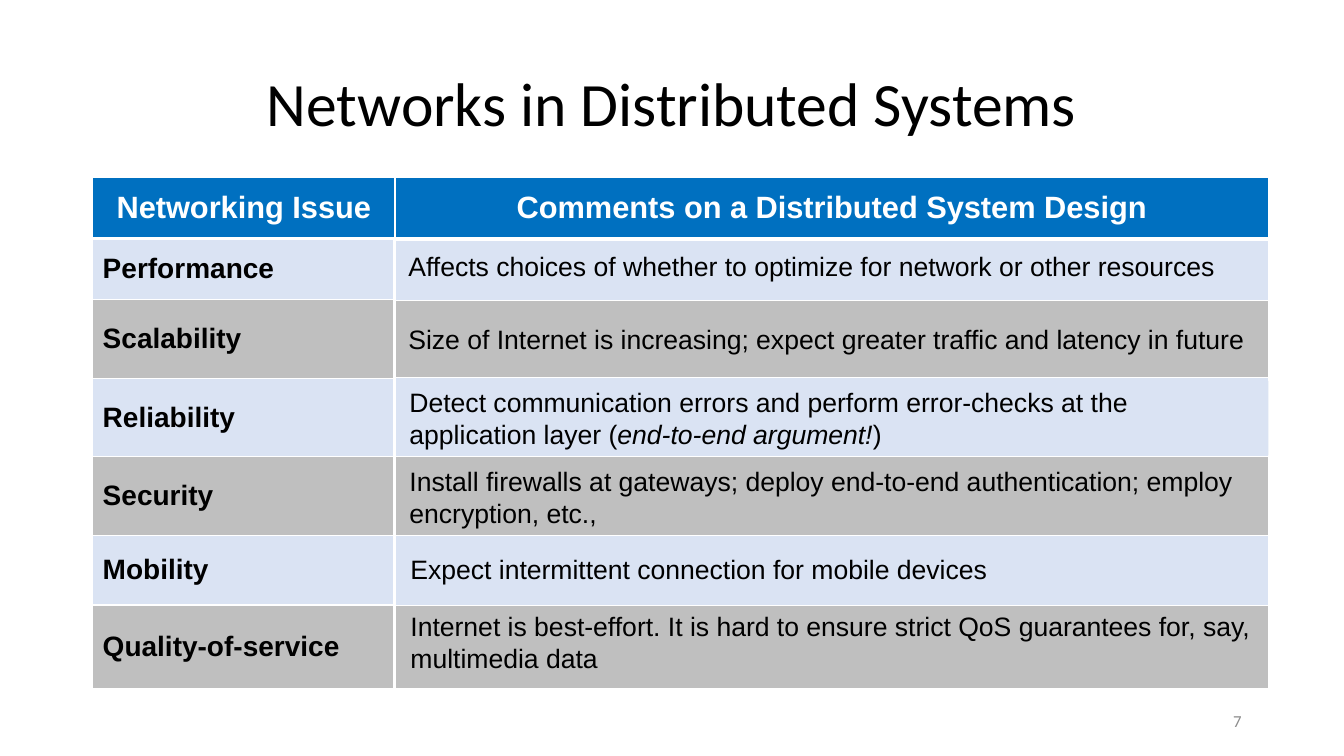
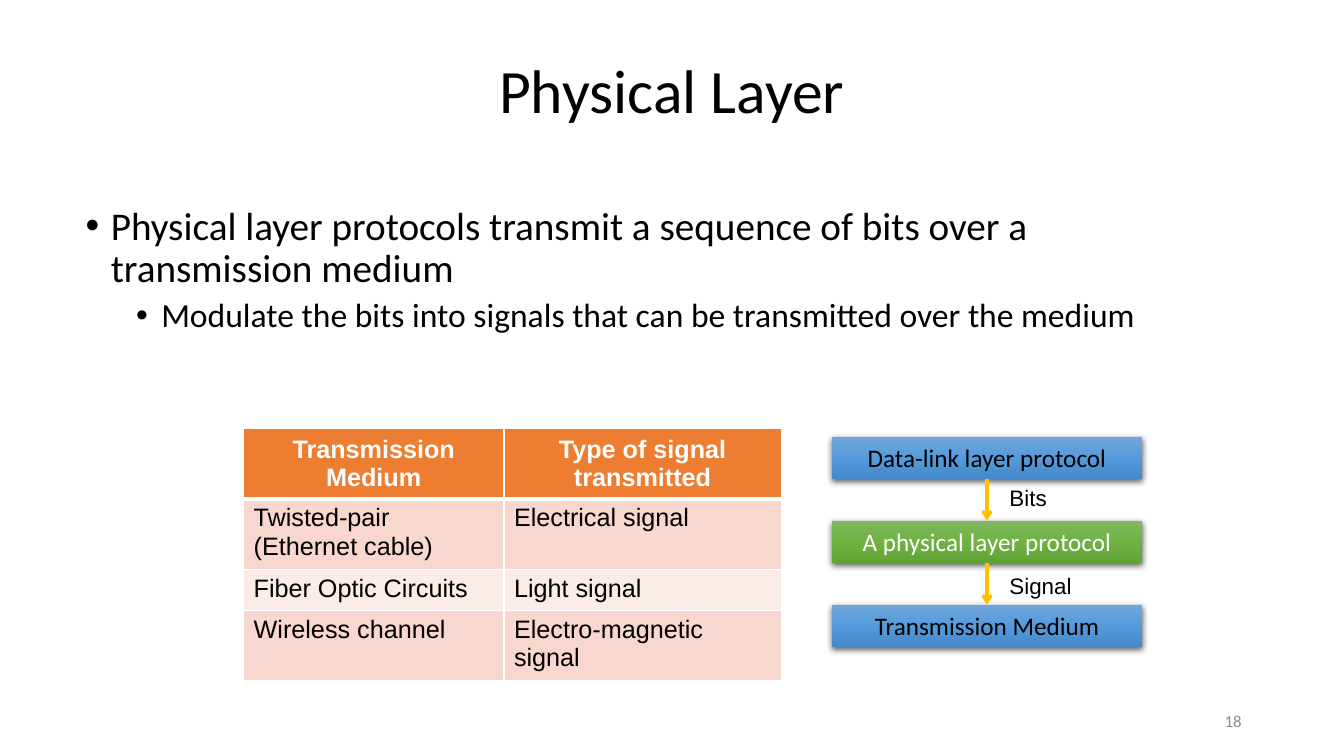
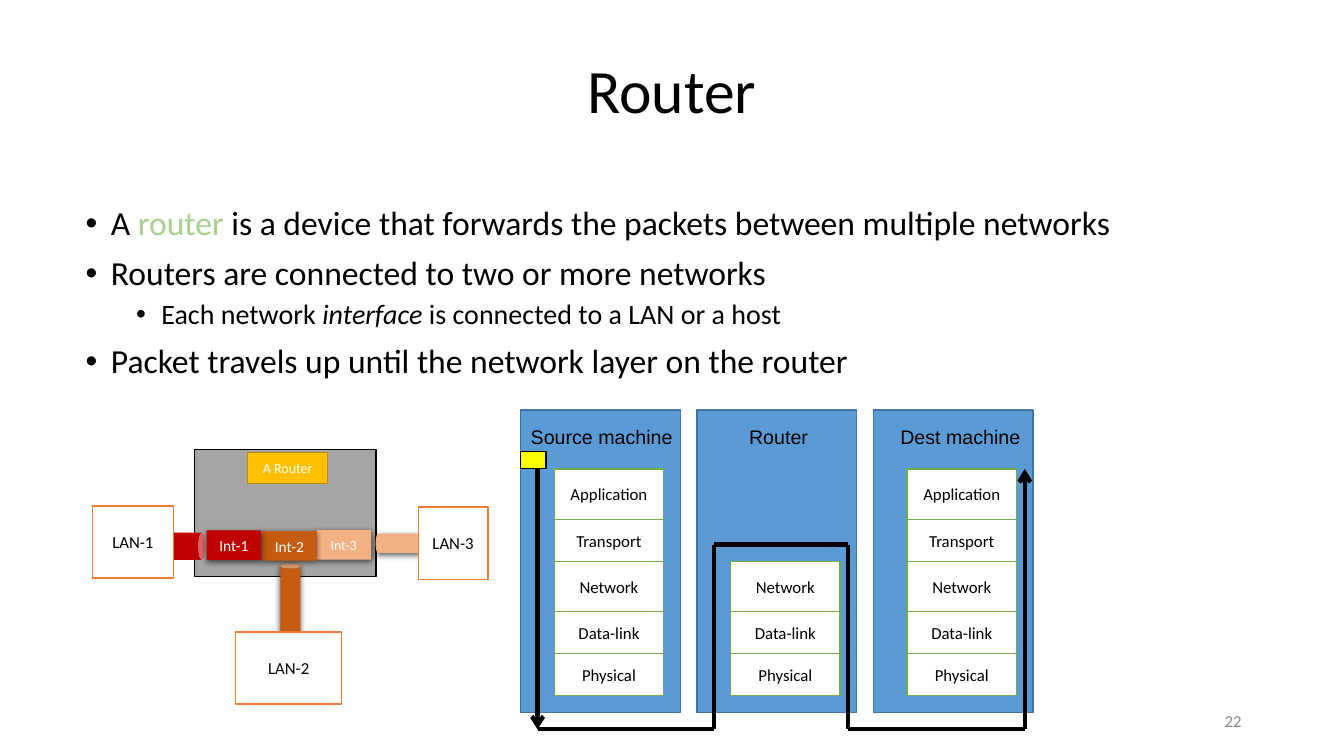
from copy import deepcopy

from pptx import Presentation
from pptx import util as u
from pptx.dml import color
from pptx.enum import shapes, text
from pptx.oxml import ns
from lxml import etree

BLACK, WHITE, GREY = "000000", "FFFFFF", "8C8C8C"
ORANGE, AMBER, RED, RUST, PEACH = "ED7D31", "FFC000", "C00000", "C55A11", "F4B183"
PALE, SILVER = "DAE3F3", "BFBFBF"
BLUE_FADE = ("71A6DB", "559BDB", "448ACA")
GREEN_FADE = ("81B861", "6FB242", "62A336")
TITLE_BOX = (156, 25, 648, 83)
BODY_BOX = (54, 144, 828, 343)
NUMBER_BOX = (678, 500, 216, 29)
LEFT, CENTER, RIGHT = text.PP_ALIGN.LEFT, text.PP_ALIGN.CENTER, text.PP_ALIGN.RIGHT
TOP, MIDDLE = text.MSO_ANCHOR.TOP, text.MSO_ANCHOR.MIDDLE
FIXED, GROW = text.MSO_AUTO_SIZE.NONE, text.MSO_AUTO_SIZE.SHAPE_TO_FIT_TEXT
RECT, CAN = shapes.MSO_SHAPE.RECTANGLE, shapes.MSO_SHAPE.CAN


def points(values):
    """Turn numbers into lengths in points."""
    return [u.Pt(value) for value in values]


def assign(target, values):
    """Set each named attribute on the target."""
    for name, value in values.items():
        setattr(target, name, value)


def paint(fill, hex_colour):
    """Fill with a hex colour, or clear the fill when there is none."""
    if hex_colour is None:
        fill.background()
    else:
        fill.solid()
        fill.fore_color.rgb = color.RGBColor.from_string(hex_colour)


def child(parent, tag, **attributes):
    """Append a drawing element to its parent."""
    return etree.SubElement(parent, ns.qn(tag), attributes)


def write(para, spans, size, font="Calibri", colour=BLACK, align=LEFT, bold=False):
    """Write a string, or a list of strings and (string, format) pairs."""
    para.alignment = align
    for part in [spans] if isinstance(spans, str) else spans:
        words, changes = (part, {}) if isinstance(part, str) else part
        span = para.add_run()
        span.text = words
        look = {"name": font, "size": u.Pt(size), "bold": bold,
                "italic": changes.get("italic", False)}
        assign(span.font, look)
        paint(span.font.fill, changes.get("colour", colour))


def place(shape, box):
    """Move a shape to its box."""
    assign(shape, dict(zip(("left", "top", "width", "height"), points(box))))


def add_label(page, box, words, size, anchor=TOP, fit=GROW, fill=None, **look):
    """Add a wrapped text box."""
    label = page.shapes.add_textbox(*points(box))
    paint(label.fill, fill)
    frame = label.text_frame
    assign(frame, {"word_wrap": True, "vertical_anchor": anchor, "auto_size": fit})
    write(frame.paragraphs[0], words, size, **look)


def add_block(page, box, fill, words="", size=12, ink=BLACK, line=None,
              shadow=False, kind=RECT, turn=0):
    """Add a preset shape with a plain or graded fill and a centred label."""
    block = page.shapes.add_shape(kind, *points(box))
    assign(block, {"rotation": turn})
    if isinstance(fill, tuple):
        block.fill.gradient()
        block.fill.gradient_angle = 270
        stops = block._element.spPr.find(ns.qn("a:gradFill")).find(ns.qn("a:gsLst"))
        stops.insert(1, deepcopy(stops[0]))
        for index, stop in enumerate(block.fill.gradient_stops):
            stop.position = index / 2
            stop.color.rgb = color.RGBColor.from_string(fill[index])
    else:
        paint(block.fill, fill)
    paint(block.line.fill, line)
    if line:
        block.line.width = u.Pt(1)
    block.shadow.inherit = False
    if shadow:
        effects = block._element.spPr.find(ns.qn("a:effectLst"))
        outer = child(effects, "a:outerShdw", blurRad="57150", dist="19050",
                      dir="5400000", algn="ctr", rotWithShape="0")
        child(child(outer, "a:srgbClr", val=BLACK), "a:alpha", val="63000")
    if words:
        frame = block.text_frame
        assign(frame, {"margin_left": 0, "margin_right": 0, "vertical_anchor": MIDDLE})
        write(frame.paragraphs[0], words, size, colour=ink, align=CENTER)


def add_line(page, start, end, colour, width, arrow=False):
    """Add a straight line, with an arrowhead at its end on request."""
    line = page.shapes.add_connector(shapes.MSO_CONNECTOR.STRAIGHT, *points(start + end))
    paint(line.line.fill, colour)
    line.line.width = u.Pt(width)
    if arrow:
        child(line.line._get_or_add_ln(), "a:tailEnd", type="arrow")
    child(line._element.spPr, "a:effectLst")


def add_grid(page, origin, widths, heights, rows, cell_style, header=True):
    """Add a white-ruled table; cell_style gives each cell's look by row and column."""
    box = (*origin, sum(widths), sum(heights))
    table = page.shapes.add_table(len(rows), len(widths), *points(box)).table
    table.first_row = header
    for column, width in zip(table.columns, widths):
        column.width = u.Pt(width)
    for r, (row, height) in enumerate(zip(rows, heights)):
        table.rows[r].height = u.Pt(height)
        for c, words in enumerate(row):
            cell = table.cell(r, c)
            fill, anchor, look = cell_style(r, c)
            cell.vertical_anchor = anchor
            paint(cell.fill, fill)
            if words:
                write(cell.text_frame.paragraphs[0], words, font="Arial", **look)
            rule_cell(cell, 3 if header and r == 1 else 1, 3 if header and r == 0 else 1)


def rule_cell(cell, top, bottom):
    """Draw white borders round a cell."""
    properties = cell._tc.get_or_add_tcPr()
    sides = (("a:lnL", 1), ("a:lnR", 1), ("a:lnT", top), ("a:lnB", bottom))
    for index, (tag, width) in enumerate(sides):
        border = child(properties, tag, w=str(u.Pt(width)))
        child(child(border, "a:solidFill"), "a:srgbClr", val=WHITE)
        properties.insert(index, border)


def add_page(deck, layout, title, number, title_box=TITLE_BOX):
    """Add a slide with the shared title style and page number."""
    page = deck.slides.add_slide(deck.slide_layouts[layout])
    heading = page.shapes.title
    place(heading, title_box)
    assign(heading.text_frame, {"vertical_anchor": MIDDLE, "word_wrap": True,
                                "auto_size": FIXED})
    para = heading.text_frame.paragraphs[0]
    para.line_spacing = 0.9
    write(para, title, 44, align=CENTER)
    add_label(page, NUMBER_BOX, number, 12, MIDDLE, FIXED, colour=GREY, align=RIGHT)
    return page


def fill_body(page, items, sizes):
    """Write (level, spans) items as bullets into the body placeholder."""
    body = page.placeholders[1]
    place(body, BODY_BOX)
    frame = body.text_frame
    assign(frame, {"auto_size": FIXED, "vertical_anchor": TOP})
    for index, (level, spans) in enumerate(items):
        para = frame.add_paragraph() if index else frame.paragraphs[0]
        properties = para._p.get_or_add_pPr()
        properties.set("marL", str(u.Pt(18 + 36 * level)))
        properties.set("indent", str(u.Pt(-18)))
        child(properties, "a:buFont", typeface="Arial")
        child(properties, "a:buChar", char="•")
        before = (10, 5)[level] if index else 0
        assign(para, {"level": level, "line_spacing": 0.9, "space_before": u.Pt(before)})
        write(para, spans, sizes[level])


def frame_style(row, column):
    """Give the look of a cell in the frame behind the comments."""
    if row == 0:
        look = {"size": 22, "colour": WHITE, "bold": True, "align": CENTER}
        return "0070C0", MIDDLE, look
    return (("DEEBF7", PALE)[column] if row % 2 else SILVER), MIDDLE, {}


def issue_style(row, column):
    """Give the look of a networking issue cell."""
    return (SILVER if row % 2 else PALE), MIDDLE, {"size": 20, "bold": True}


def medium_style(row, column):
    """Give the look of a transmission medium cell."""
    if row == 0:
        look = {"size": 18, "colour": WHITE, "bold": True, "align": CENTER}
        return ORANGE, MIDDLE, look
    return "F8D7CE" if row % 2 else "FCECE8", TOP, {"size": 18}


def draw_protocol_stack(page, box):
    """Draw three protocol boxes joined by labelled arrows."""
    left, top, width, height = box
    middle, pitch = left + width / 2, 2 * height
    layers = (("Data-link layer protocol", BLUE_FADE, BLACK),
              ("A physical layer protocol", GREEN_FADE, WHITE),
              ("Transmission Medium", BLUE_FADE, BLACK))
    for index, (words, fade, ink) in enumerate(layers):
        add_block(page, (left, top + index * pitch, width, height), fade, words, 18, ink,
                  shadow=True)
    for index, (words, drop) in enumerate((("Bits", 0), ("Signal", 3))):
        start = top + height + index * pitch
        add_line(page, (middle, start), (middle, start + height), AMBER, 2.25, arrow=True)
        add_label(page, (middle + 9, start + drop, 60, 26), words, 16, font="Arial")


def draw_router(page, origin):
    """Draw a router whose three interfaces lead to three networks."""
    left, top = origin

    def part(x, y, width, height, fill, *label, **look):
        """Add a block at an offset from the origin."""
        add_block(page, (left + x, top + y, width, height), fill, *label, **look)

    part(73, 0.2, 129.6, 90.7, "A5A5A5", line=BLACK)
    part(134.2, 81.5, 14.4, 74, RUST, kind=CAN, shadow=True)
    part(45.6, 44, 19.4, 50.4, RED, kind=CAN, turn=90)
    part(225.6, 36.8, 13.7, 60.5, PEACH, kind=CAN, turn=90, shadow=True)
    networks = (("LAN-1", 0.2, 40.4, 57.6), ("LAN-2", 102.4, 130.4, 75.6),
                ("LAN-3", 232.8, 41.2, 49.7))
    for name, x, y, width in networks:
        part(x, y, width, 51.6, WHITE, name, line=ORANGE)
    part(111, 2.2, 57, 22.3, AMBER, "A Router", 10, WHITE, line="BD8E00")
    interfaces = (("Int-3", 160, 57.7, PEACH, 10), ("Int-2", 121.2, 58.4, RUST, 11),
                  ("Int-1", 81.6, 57.9, RED, 11))
    for name, x, y, fill, size in interfaces:
        part(x, y, 39, 21, fill, name, size, WHITE, shadow=True)


def draw_machine(page, box, name, name_shift, name_width, count):
    """Draw a machine with its lowest layers, stacked from the bottom up."""
    left, top, width, height = box
    add_block(page, box, "5B9BD5", line="43739E")
    layers = (("Physical", 30), ("Data-link", 30), ("Network", 36),
              ("Transport", 30), ("Application", 36))
    bottom = top + height - 12
    for words, tall in layers[:count]:
        bottom -= tall
        add_block(page, (left + 24, bottom, 78, tall), WHITE, words, line="70AD47")
    add_label(page, (left + name_shift, top + 7, name_width, 24), name, 14, font="Arial")


def draw_packet_route(page, origin):
    """Draw three machines and the packet's way through their layers."""
    left, top = origin
    machines = (("Source machine", 0, 120, 5), ("Router", 30, 66, 3),
                ("Dest machine", 12, 102, 5))
    for index, machine in enumerate(machines):
        draw_machine(page, (left + 126 * index, top, 114, 216), *machine)
    offsets = ((12, 36), (12, 228), (138, 228), (138, 96),
               (234, 96), (234, 228), (360, 228), (360, 42))
    stops = [(left + x, top + y) for x, y in offsets]
    legs = list(zip(stops, stops[1:]))
    for leg in legs:
        add_line(page, *leg, BLACK, 3, arrow=leg in (legs[0], legs[-1]))
    add_block(page, (left, top + 29.6, 18, 12), "FFFF00", line=BLACK)


def draw_issues(page, origin):
    """Draw the framed issues with a comment beside each."""
    left, top = origin
    headings = ("Networking Issue", "Comments on a Distributed System Design")
    issues = ("Performance", "Scalability", "Reliability", "Security", "Mobility",
              "Quality-of-service")
    add_grid(page, origin, (216, 624), (43.9, 43.9, 55.4, 56.2, 56.2, 50.4, 59),
             [headings] + [("", "")] * len(issues), frame_style)
    add_grid(page, (left, top + 44), (215.3,), (43.2, 56.2, 56.2, 56.2, 49.7, 59.6),
             [(issue,) for issue in issues], issue_style, header=False)
    comments = (
        (218.4, 48.2, 594, 30, None,
         "Affects choices of whether to optimize for network or other resources"),
        (218.4, 100.7, 624, 30, None,
         "Size of Internet is increasing; expect greater traffic and latency in future"),
        (219.2, 145.4, 620.6, 53.3, PALE,
         ["Detect communication errors and perform error-checks at the application layer (",
          ("end-to-end argument!", {"italic": True}), ")"]),
        (219.2, 201.6, 615, 53.3, None,
         "Install firewalls at gateways; deploy end-to-end authentication; "
         "employ encryption, etc.,"),
        (219.9, 265, 531.4, 30, None, "Expect intermittent connection for mobile devices"),
        (219.9, 305.3, 620, 53.3, None,
         "Internet is best-effort. It is hard to ensure strict QoS guarantees for, say, "
         "multimedia data"),
    )
    for x, y, width, height, fill, words in comments:
        add_label(page, (left + x, top + y, width, height), words, 19, fill=fill,
                  font="Arial")


def build_networks(deck):
    """Build the slide of networking issues."""
    page = add_page(deck, 5, "Networks in Distributed Systems", "7", (66, 24, 828, 104))
    draw_issues(page, (66.2, 126.7))


def build_physical_layer(deck):
    """Build the slide on the physical layer."""
    page = add_page(deck, 1, "Physical Layer", "18")
    fill_body(page, (
        (0, "Physical layer protocols transmit a sequence of bits over a transmission medium"),
        (1, "Modulate the bits into signals that can be transmitted over the medium"),
    ), (28, 24))
    rows = (("Transmission Medium", "Type of signal transmitted"),
            ("Twisted-pair (Ethernet cable)", "Electrical signal"),
            ("Fiber Optic Circuits", "Light signal"),
            ("Wireless channel", "Electro-magnetic signal"))
    add_grid(page, (174, 306), (186, 198), (50.4, 50.4, 29.2, 50.4), rows, medium_style)
    draw_protocol_stack(page, (594, 312, 222, 30))


def build_router(deck):
    """Build the slide on routers."""
    page = add_page(deck, 1, "Router", "22")
    fill_body(page, (
        (0, ["A ", ("router", {"colour": "A9D18E"}),
             " is a device that forwards the packets between multiple networks"]),
        (0, "Routers are connected to two or more networks"),
        (1, ["Each network ", ("interface ", {"italic": True}),
             "is connected to a LAN or a host"]),
        (0, "Packet travels up until the network layer on the router"),
    ), (24, 20))
    draw_router(page, (66, 321))
    draw_packet_route(page, (372, 293))


def main():
    """Build and save the deck."""
    deck = Presentation()
    assign(deck, {"slide_width": u.Pt(960), "slide_height": u.Pt(540)})
    for build in (build_networks, build_physical_layer, build_router):
        build(deck)
    deck.save("out.pptx")


if __name__ == "__main__":
    main()
